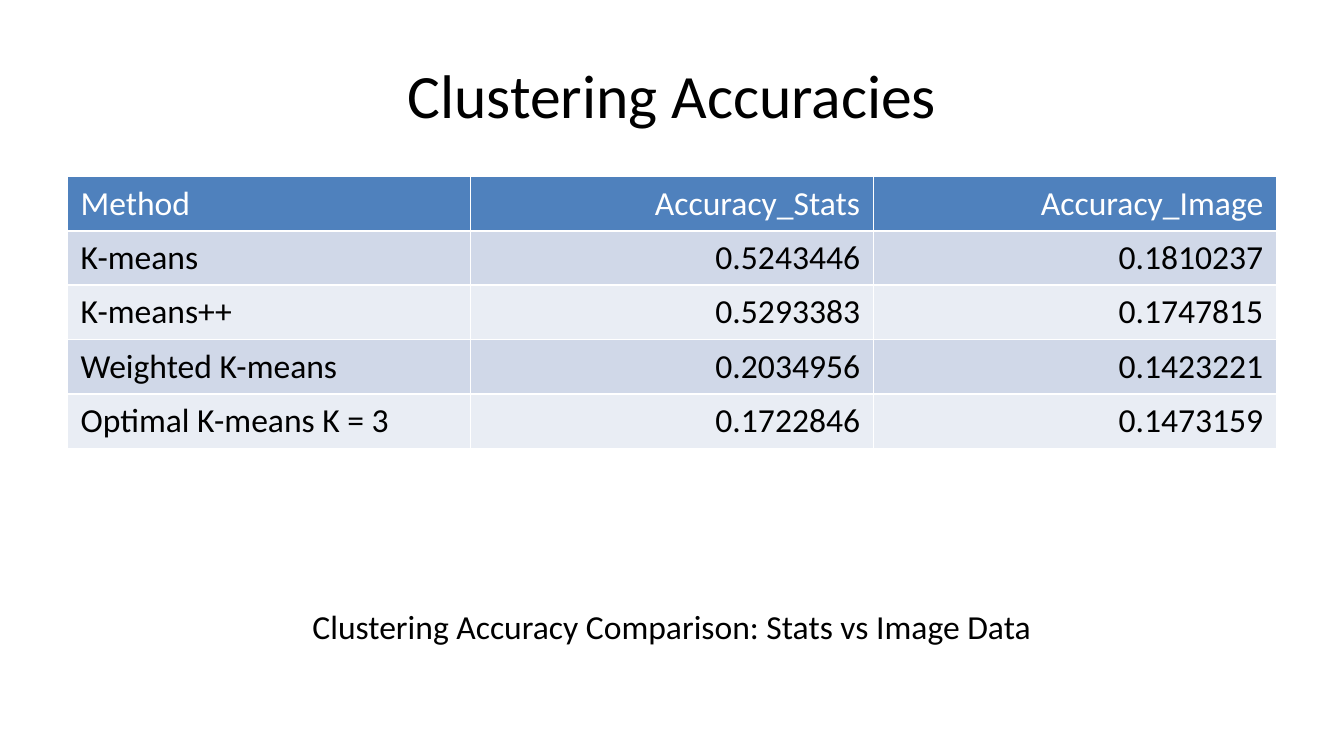
from pptx import Presentation
from pptx.dml.color import RGBColor
from pptx.enum.text import MSO_ANCHOR as Anchor, PP_ALIGN as Align
from pptx.util import Pt

COLORS = {
    "text": "000000",
    "header_text": "FFFFFF",
    "header": "4F81BD",
    "odd_row": "D0D8E8",
    "even_row": "E9EDF4",
}
LEFT, WIDTH = 36, 648
ROW_HEIGHT = 29.16
ROWS = [
    ("Method", "Accuracy_Stats", "Accuracy_Image"),
    ("K-means", "0.5243446", "0.1810237"),
    ("K-means++", "0.5293383", "0.1747815"),
    ("Weighted K-means", "0.2034956", "0.1423221"),
    ("Optimal K-means K = 3", "0.1722846", "0.1473159"),
]


def write(frame, text, size, color, align):
    """Fill a text frame with one formatted paragraph."""
    frame.text = text
    para = frame.paragraphs[0]
    para.alignment = align
    font = para.runs[0].font
    font.name, font.size, font.bold = "Calibri", Pt(size), False
    font.color.rgb = RGBColor.from_string(COLORS[color])


def add_text(page, top, height, text, size, anchor):
    box = page.shapes.add_textbox(Pt(LEFT), Pt(top), Pt(WIDTH), Pt(height))
    frame = box.text_frame
    frame.word_wrap = True
    frame.vertical_anchor = anchor
    write(frame, text, size, "text", Align.CENTER)


deck = Presentation()
deck.slide_width, deck.slide_height = Pt(720), Pt(405)
page = deck.slides.add_slide(deck.slide_layouts[6])

add_text(page, 16.56, 67.68, "Clustering Accuracies", 33, Anchor.MIDDLE)

# The default table style draws the white cell borders.
table = page.shapes.add_table(
    len(ROWS), len(ROWS[0]), Pt(LEFT), Pt(94.5), Pt(WIDTH), Pt(ROW_HEIGHT * len(ROWS))
).table
for row_index, values in enumerate(ROWS):
    if row_index == 0:
        fill, color = "header", "header_text"
    else:
        fill, color = ("odd_row" if row_index % 2 else "even_row"), "text"
    for column_index, value in enumerate(values):
        cell = table.cell(row_index, column_index)
        cell.fill.solid()
        cell.fill.fore_color.rgb = RGBColor.from_string(COLORS[fill])
        align = Align.RIGHT if column_index else Align.LEFT
        write(cell.text_frame, value, 18, color, align)

add_text(page, 321, 40.5, "Clustering Accuracy Comparison: Stats vs Image Data", 18, Anchor.TOP)

deck.save("out.pptx")
